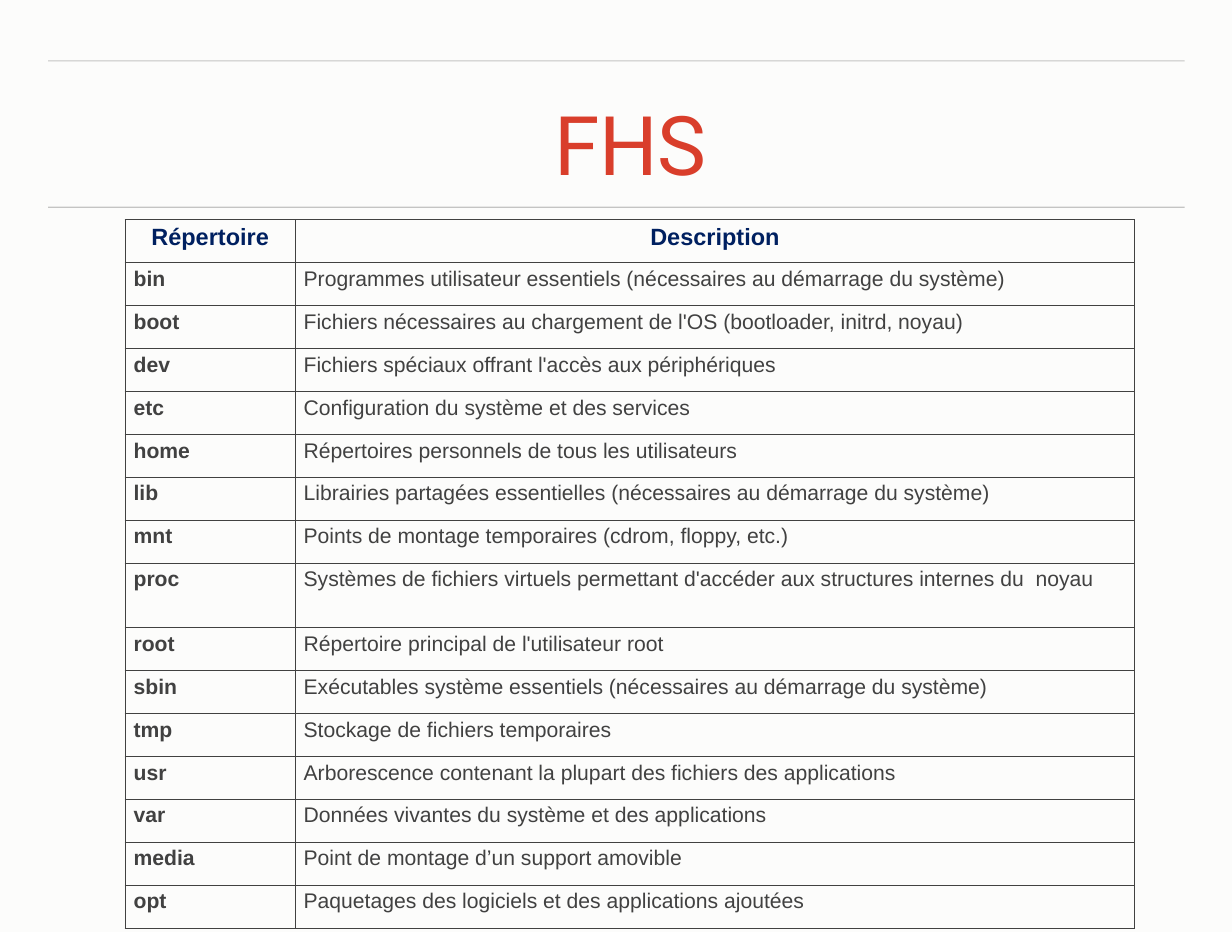
from lxml import etree
from pptx import Presentation, util as u
from pptx.dml.color import RGBColor
from pptx.enum import text
from pptx.oxml.ns import qn

COLORS = {"background": "FCFCFB", "rule": "444444", "title": "D93E2B",
          "header": "002060", "body": "414141"}
TITLE = {"name": "Roboto", "size": u.Pt(70), "bold": False}
HEADER = {"name": "Arial", "size": u.Pt(20), "bold": True}
BODY = {"name": "Arial", "size": u.Pt(18), "bold": False}
DIRECTORY = {**BODY, "bold": True}

DIRECTORIES = [
    ("bin", "Programmes utilisateur essentiels (nécessaires au démarrage du système)"),
    ("boot", "Fichiers nécessaires au chargement de l'OS (bootloader, initrd, noyau)"),
    ("dev", "Fichiers spéciaux offrant l'accès aux périphériques"),
    ("etc", "Configuration du système et des services"),
    ("home", "Répertoires personnels de tous les utilisateurs"),
    ("lib", "Librairies partagées essentielles (nécessaires au démarrage du système)"),
    ("mnt", "Points de montage temporaires (cdrom, floppy, etc.)"),
    ("proc", "Systèmes de fichiers virtuels permettant d'accéder aux structures internes du  noyau"),
    ("root", "Répertoire principal de l'utilisateur root"),
    ("sbin", "Exécutables système essentiels (nécessaires au démarrage du système)"),
    ("tmp", "Stockage de fichiers temporaires"),
    ("usr", "Arborescence contenant la plupart des fichiers des applications"),
    ("var", "Données vivantes du système et des applications"),
    ("media", "Point de montage d’un support amovible"),
    ("opt", "Paquetages des logiciels et des applications ajoutées"),
]


class SlideBuilder:
    """Places elements on a grid of 100 columns by 100 rows."""

    def __init__(self, presentation):
        self.column = presentation.slide_width / 100
        self.row = presentation.slide_height / 100
        self.slide = presentation.slides.add_slide(presentation.slide_layouts[5])
        fill = self.slide.background.fill
        fill.solid()
        fill.fore_color.rgb = RGBColor.from_string(COLORS["background"])

    def across(self, columns):
        return u.Emu(round(columns * self.column))

    def down(self, rows):
        return u.Emu(round(rows * self.row))

    def add_words(self, paragraph, words, style, color, alignment):
        paragraph.alignment = alignment
        run = paragraph.add_run()
        run.text = words
        for name, value in style.items():
            setattr(run.font, name, value)
        run.font.color.rgb = RGBColor.from_string(COLORS[color])

    def rule(self, left, right, top):
        line = self.slide.shapes.add_connector(
            1, self.across(left), self.down(top), self.across(right), self.down(top))
        line.line.width = u.Pt(1)
        line.line.color.rgb = RGBColor.from_string(COLORS["rule"])
        properties = line._element.spPr
        color = properties.find(".//" + qn("a:srgbClr"))
        etree.SubElement(color, qn("a:alpha"), val="30000")
        etree.SubElement(properties, qn("a:effectLst"))

    def title(self, words, left, top, width, height):
        shape = self.slide.shapes.title
        shape.left, shape.top = self.across(left), self.down(top)
        shape.width, shape.height = self.across(width), self.down(height)
        frame = shape.text_frame
        margins = dict.fromkeys(
            ("margin_left", "margin_right", "margin_top", "margin_bottom"), u.Inches(0.06))
        layout = {**margins, "word_wrap": True, "auto_size": text.MSO_AUTO_SIZE.NONE,
                  "vertical_anchor": text.MSO_ANCHOR.MIDDLE}
        for name, value in layout.items():
            setattr(frame, name, value)
        paragraph = frame.paragraphs[0]
        paragraph.line_spacing = 0.9
        self.add_words(paragraph, words, TITLE, "title", text.PP_ALIGN.CENTER)

    def border(self, cell):
        properties = cell._tc.get_or_add_tcPr()
        for position, side in enumerate(("a:lnL", "a:lnR", "a:lnT", "a:lnB")):
            line = etree.Element(qn(side), w=str(u.Pt(1)))
            fill = etree.SubElement(line, qn("a:solidFill"))
            etree.SubElement(fill, qn("a:srgbClr"), val=COLORS["body"])
            properties.insert(position, line)

    def table(self, header, records, left, top, widths, heights):
        table = self.slide.shapes.add_table(
            len(records) + 1, len(header), self.across(left), self.down(top),
            self.across(sum(widths)), self.down(sum(heights))).table
        table.first_row = table.horz_banding = False
        for column, width in zip(table.columns, widths):
            column.width = self.across(width)
        for row, height in zip(table.rows, heights):
            row.height = self.down(height)
        for row_number, record in enumerate([header, *records]):
            for column_number, words in enumerate(record):
                cell = table.cell(row_number, column_number)
                cell.fill.background()
                self.border(cell)
                paragraph = cell.text_frame.paragraphs[0]
                if row_number == 0:
                    self.add_words(paragraph, words, HEADER, "header", text.PP_ALIGN.CENTER)
                else:
                    style = BODY if column_number else DIRECTORY
                    self.add_words(paragraph, words, style, "body", text.PP_ALIGN.LEFT)


def main():
    presentation = Presentation()
    presentation.slide_width = u.Inches(14.57)
    presentation.slide_height = u.Inches(11.02)
    builder = SlideBuilder(presentation)

    # Title between two rules
    for top in (6.53, 22.23):
        builder.rule(3.91, 96.16, top)
    builder.title("FHS", 5.08, 9.71, 92.18, 12.52)

    # Directory table, with a taller row for proc
    heights = [4.61] + [6.9 if name == "proc" else 4.61 for name, _ in DIRECTORIES]
    builder.table(("Répertoire", "Description"), DIRECTORIES,
                  10.16, 23.59, (13.8, 68.15), heights)

    presentation.save("out.pptx")


if __name__ == "__main__":
    main()
